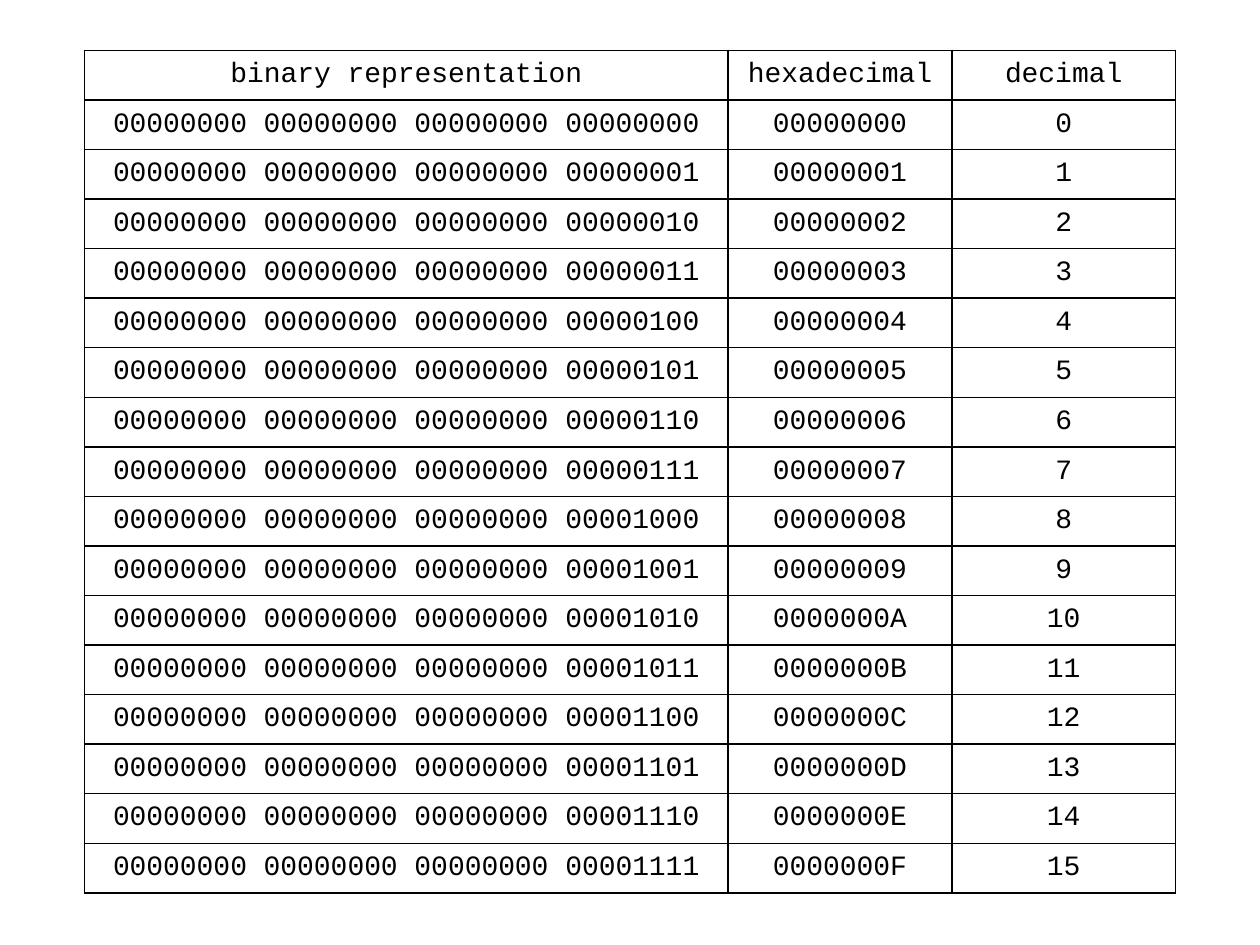
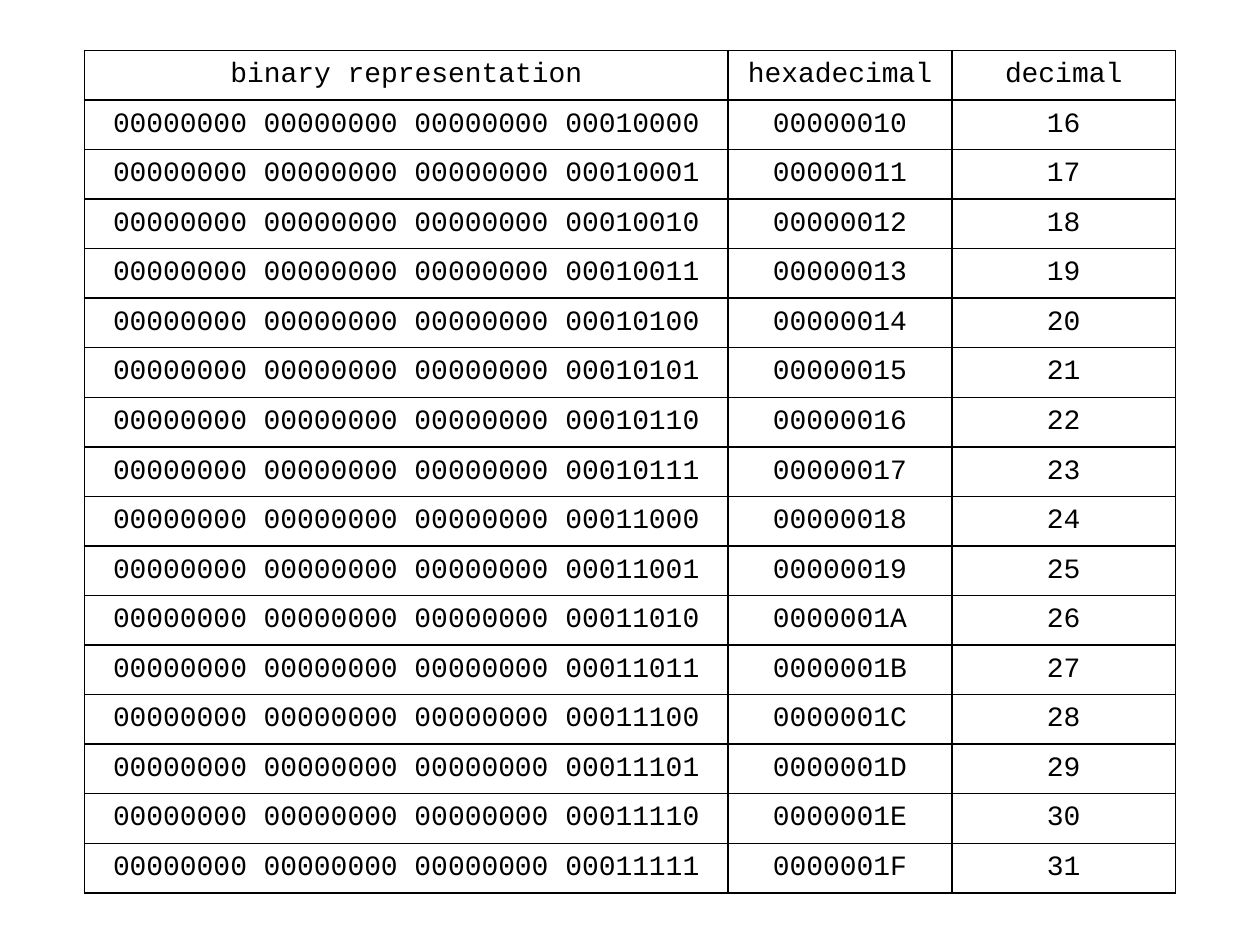
from lxml.etree import SubElement
from pptx import Presentation
from pptx.dml.color import RGBColor
from pptx.enum.text import MSO_ANCHOR, PP_ALIGN
from pptx.oxml.ns import qn
from pptx.util import Inches, Pt

BLACK = RGBColor(0x00, 0x00, 0x00)
WHITE = RGBColor(0xFF, 0xFF, 0xFF)
FONT = "Courier New"
FONT_SIZE = Pt(16)
BORDER_WIDTH = Pt(1)
HEADERS = ("binary representation", "hexadecimal", "decimal")
COLUMN_SHARES = (0.59, 0.205, 0.205)
TABLE_BOX = (Inches(0.67), Inches(0.4), Inches(8.66), Inches(6.69))
NUMBERS_PER_SLIDE = 16


def number_row(number):
    bits = f"{number:032b}"
    groups = [bits[start:start + 8] for start in range(0, 32, 8)]
    return " ".join(groups), f"{number:08X}", str(number)


def add_borders(cell):
    properties = cell._tc.get_or_add_tcPr()
    for side in ("a:lnL", "a:lnR", "a:lnT", "a:lnB"):
        line = SubElement(properties, qn(side), w=str(BORDER_WIDTH))
        fill = SubElement(line, qn("a:solidFill"))
        SubElement(fill, qn("a:srgbClr"), val=str(BLACK))


def fill_cell(cell, text):
    add_borders(cell)
    cell.fill.background()
    cell.vertical_anchor = MSO_ANCHOR.MIDDLE
    cell.margin_left = cell.margin_right = Inches(0.1)
    cell.margin_top = cell.margin_bottom = Inches(0.04)
    paragraph = cell.text_frame.paragraphs[0]
    paragraph.alignment = PP_ALIGN.CENTER
    run = paragraph.add_run()
    run.text = text
    run.font.name = FONT
    run.font.size = FONT_SIZE
    run.font.color.rgb = BLACK


def add_number_table(slide, box, numbers):
    left, top, width, height = box
    rows = [HEADERS] + [number_row(number) for number in numbers]
    table = slide.shapes.add_table(
        len(rows), len(HEADERS), left, top, width, height
    ).table
    table.first_row = False
    table.horz_banding = False
    for column, share in zip(table.columns, COLUMN_SHARES):
        column.width = int(width * share)
    for row, texts in zip(table.rows, rows):
        row.height = height // len(rows)
        for cell, text in zip(row.cells, texts):
            fill_cell(cell, text)
    table.cell(0, 2).margin_left = table.cell(0, 2).margin_right = Inches(0.04)


def add_number_slide(presentation, first_number):
    slide = presentation.slides.add_slide(presentation.slide_layouts[6])
    slide.background.fill.solid()
    slide.background.fill.fore_color.rgb = WHITE
    numbers = range(first_number, first_number + NUMBERS_PER_SLIDE)
    add_number_table(slide, TABLE_BOX, numbers)


def main():
    presentation = Presentation()
    presentation.slide_width = Inches(10)
    presentation.slide_height = Inches(7.5)
    for first_number in (0, NUMBERS_PER_SLIDE):
        add_number_slide(presentation, first_number)
    presentation.save("out.pptx")


if __name__ == "__main__":
    main()
